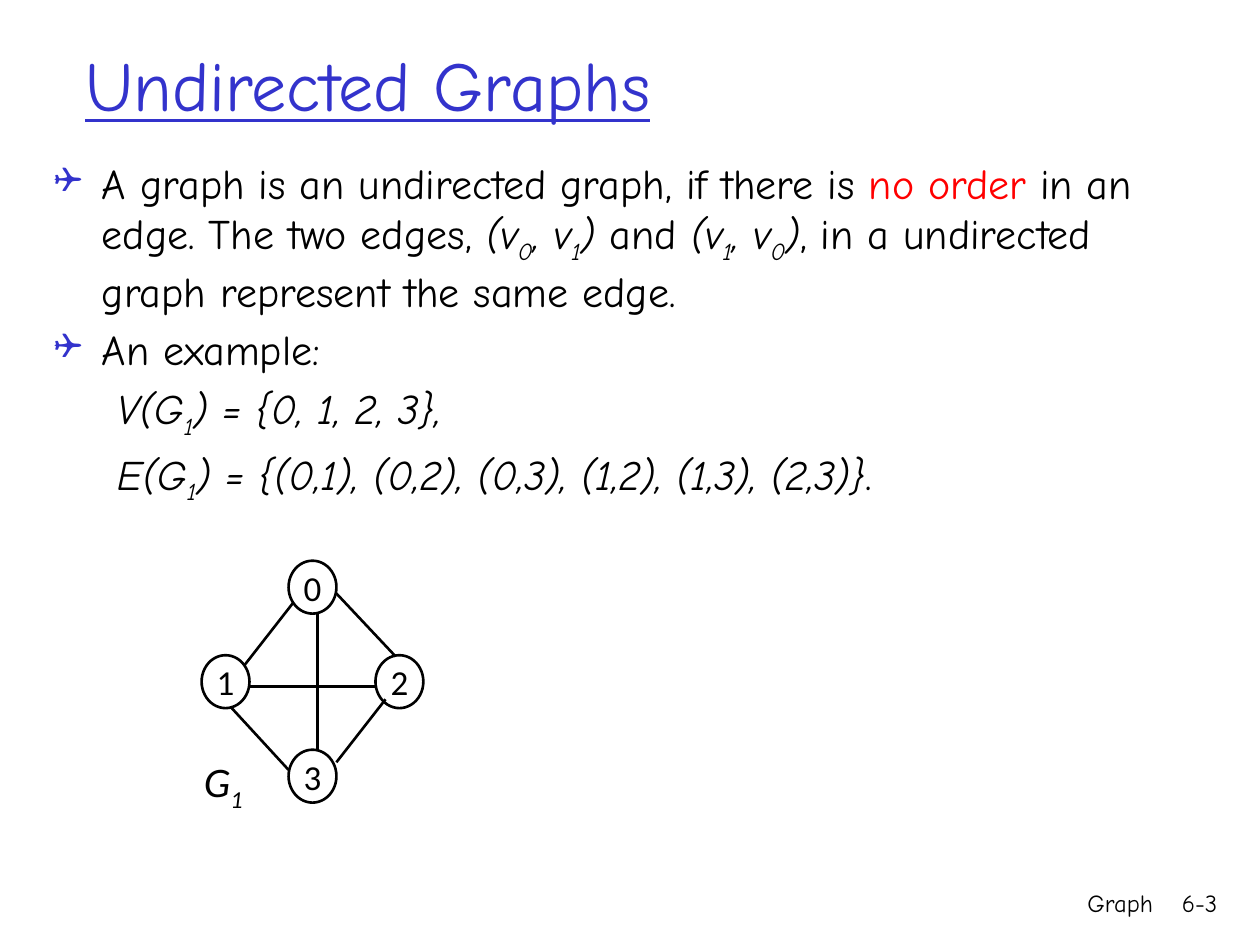
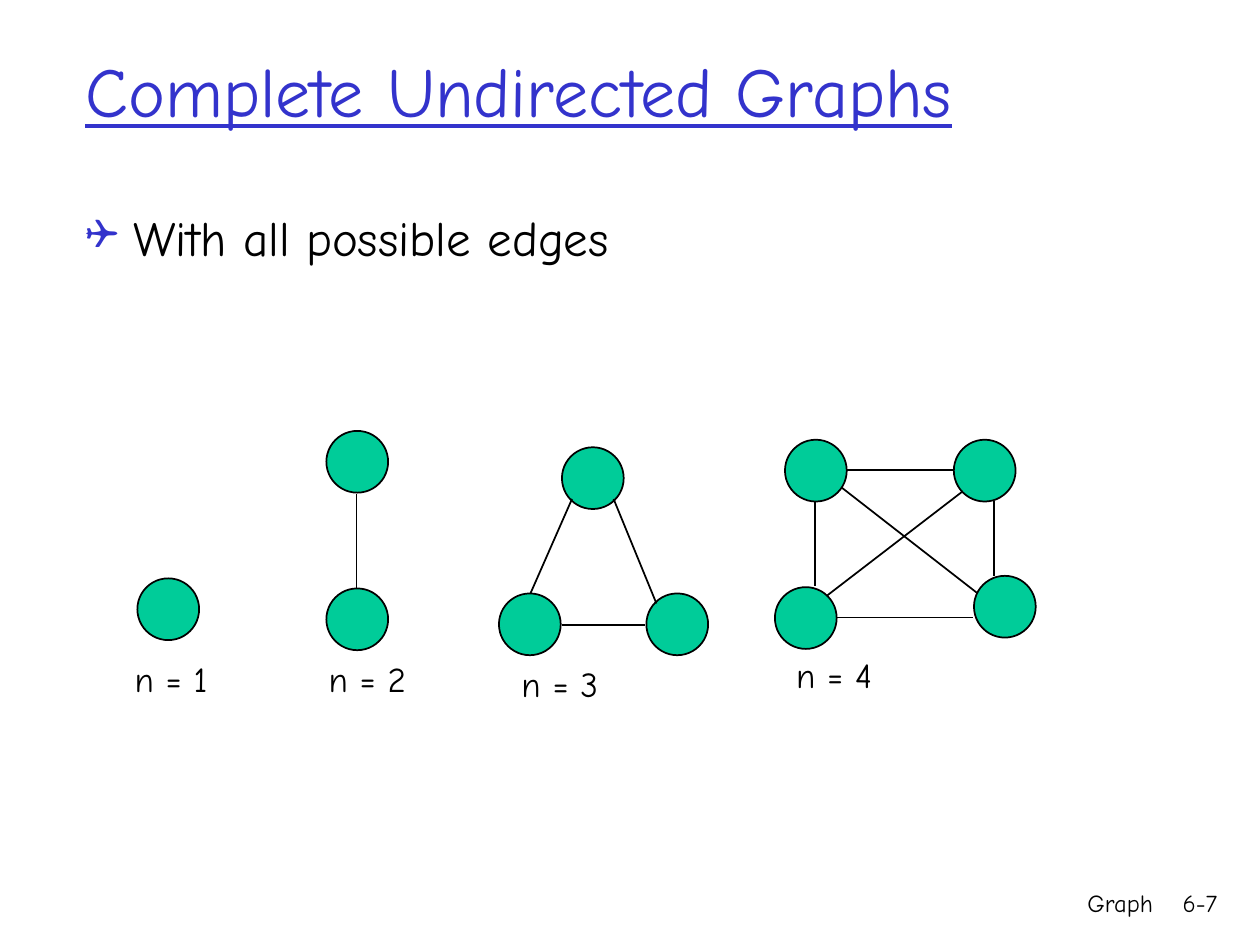
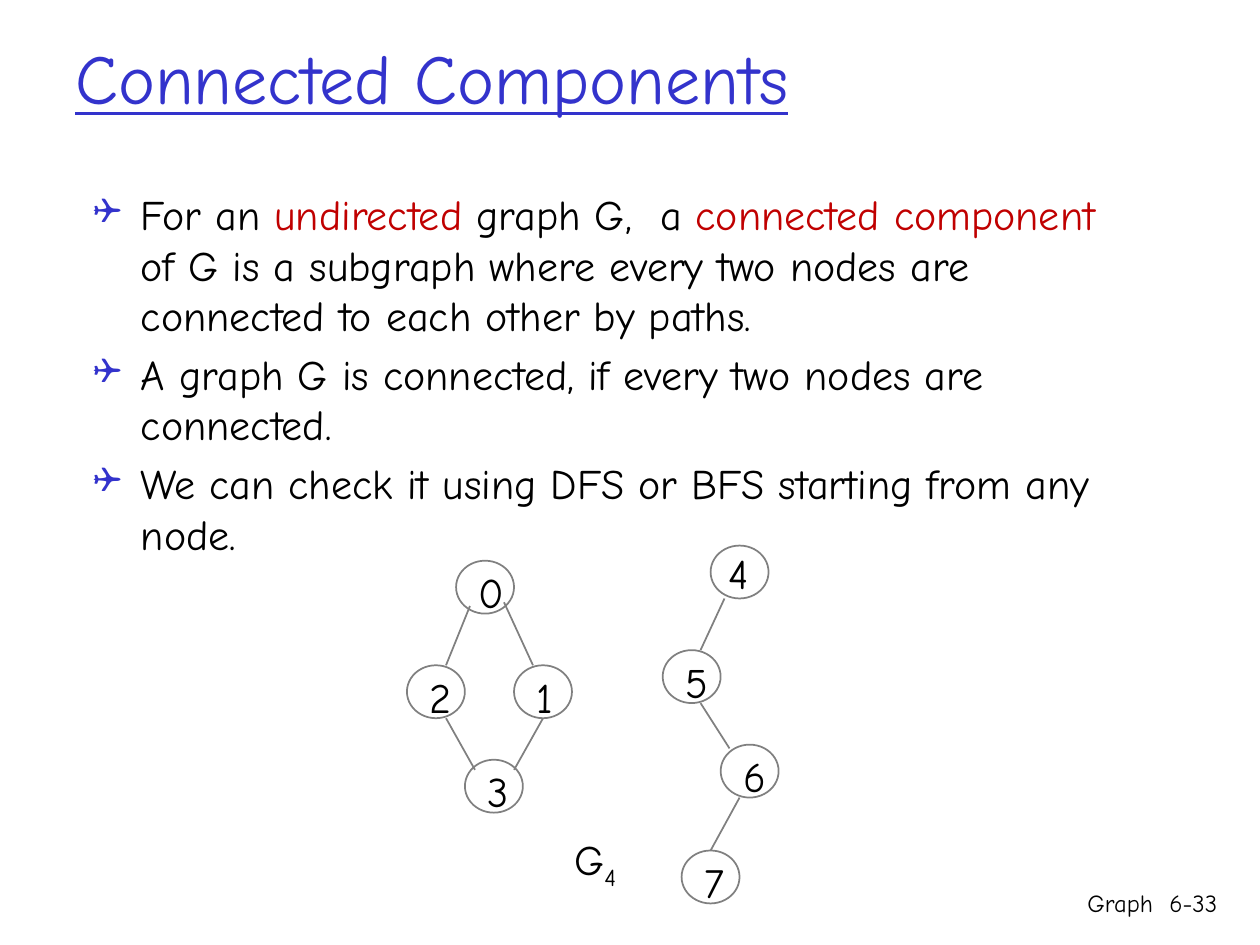
from pptx import Presentation
from pptx.dml.color import RGBColor
from pptx.enum.shapes import MSO_CONNECTOR as Connector, MSO_SHAPE as Shape
from pptx.enum.text import MSO_ANCHOR as Anchor, PP_ALIGN as Align
from pptx.oxml.ns import qn
from pptx.util import Inches, Pt
from lxml.etree import SubElement

# Shared look
COLORS = {"title": "3333CC", "text": "000000", "red": "FF0000", "dark_red": "C00000",
          "green": "00CC99", "gray": "808080"}
FONT, NODE_FONT = "Comic Neue", "Calibri"
SLIDE_W, SLIDE_H = Inches(10), Inches(7.5)
COLUMNS, ROWS = 10, 7.5


def col(n):
    return round(SLIDE_W * n / COLUMNS)


def row(n):
    return round(SLIDE_H * n / ROWS)


def area(left, top, width, height):
    return col(left), row(top), col(width), row(height)


def rgb(key):
    return RGBColor.from_string(COLORS[key])


# Text
def style(paragraph, size, color="text", font=FONT):
    paragraph.font.size = Pt(size)
    paragraph.font.name = font
    paragraph.font.color.rgb = rgb(color)


def add_runs(paragraph, runs):
    """A run is a string, or a (text, marks) pair; marks are i, sub or a colour."""
    for item in runs:
        text, marks = (item, ()) if isinstance(item, str) else (item[0], item[1].split())
        run = paragraph.add_run()
        run.text = text
        for mark in marks:
            if mark == "i":
                run.font.italic = True
            elif mark == "sub":
                run._r.get_or_add_rPr().set("baseline", "-25000")
            else:
                run.font.color.rgb = rgb(mark)


def add_text(slide, place, runs, size, color="text", font=FONT, align=Align.LEFT):
    frame = slide.shapes.add_textbox(*area(*place)).text_frame
    frame.word_wrap = True
    paragraph = frame.paragraphs[0]
    add_runs(paragraph, runs)
    style(paragraph, size, color, font)
    paragraph.alignment = align
    return frame


def add_title(slide, place, title):
    frame = add_text(slide, place, [title], 40, "title")
    frame.vertical_anchor = Anchor.MIDDLE
    frame.paragraphs[0].font.underline = True


def add_footer(slide, number):
    add_text(slide, (6.08, 7, 3.17, 0.5), ["Graph"], 14, align=Align.RIGHT)
    add_text(slide, (9.08, 7, 0.68, 0.5), [number], 14, align=Align.RIGHT)


def indent(paragraph, margin, hanging, bullet=None):
    props = paragraph._p.get_or_add_pPr()
    props.set("marL", str(Inches(margin)))
    props.set("indent", str(-Inches(hanging)))
    if bullet:
        color = SubElement(props, qn("a:buClr"))
        SubElement(color, qn("a:srgbClr"), val=COLORS["title"])
        SubElement(props, qn("a:buSzPct"), val="85000")
        SubElement(props, qn("a:buFont"), typeface="Wingdings")
        SubElement(props, qn("a:buChar"), char=bullet)


def add_body(slide, place, bullets, size=24, formulas=()):
    frame = slide.shapes.add_textbox(*area(*place)).text_frame
    frame.word_wrap = True
    lines = [(runs, 0.38, 0.38, "❑") for runs in bullets]
    lines += [(runs, 0.81, 0.31, None) for runs in formulas]
    for index, (runs, margin, hanging, bullet) in enumerate(lines):
        paragraph = frame.add_paragraph() if index else frame.paragraphs[0]
        add_runs(paragraph, runs)
        if index:
            paragraph.space_before = Pt(size * 0.2)
        indent(paragraph, margin, hanging, bullet)
        style(paragraph, size)


# Graph parts
def add_node(slide, place, line, weight, fill=None, label=""):
    node = slide.shapes.add_shape(Shape.OVAL, *area(*place))
    node.shadow.inherit = False
    node.line.color.rgb = rgb(line)
    node.line.width = Pt(weight)
    if fill:
        node.fill.solid()
        node.fill.fore_color.rgb = rgb(fill)
    else:
        node.fill.background()
    if label:
        frame = node.text_frame
        frame.word_wrap = False
        frame.vertical_anchor = Anchor.MIDDLE
        frame.text = label
        frame.paragraphs[0].alignment = Align.CENTER
        style(frame.paragraphs[0], 20, font=NODE_FONT)


def add_edges(slide, edges, color, weight):
    for x1, y1, x2, y2 in edges:
        edge = slide.shapes.add_connector(Connector.STRAIGHT, col(x1), row(y1), col(x2), row(y2))
        edge.line.color.rgb = rgb(color)
        edge.line.width = Pt(weight)
        SubElement(edge._element.spPr, qn("a:effectLst"))


# Slides
def undirected_graphs(slide):
    add_footer(slide, "6-3")
    add_title(slide, (0.58, 0.25, 8.5, 0.83), "Undirected Graphs")
    definition = [
        "A graph is an undirected graph, if there is ", ("no order", "red"),
        " in an edge. The two edges, ",
        ("(v", "i"), ("0", "i sub"), (", v", "i"), ("1", "i sub"), (")", "i"), " and ",
        ("(v", "i"), ("1", "i sub"), (", v", "i"), ("0", "i sub"), (")", "i"),
        ", in a undirected graph represent the same edge."]
    vertices = [("V(G", "i"), ("1", "i sub"), (") = {0, 1, 2, 3},", "i")]
    edge_set = [("E(G", "i"), ("1", "i sub"),
                (") = {(0,1), (0,2), (0,3), (1,2), (1,3), (2,3)}", "i"), "."]
    add_body(slide, (0.33, 1.2, 9.23, 5.67), [definition, ["An example:"]],
             formulas=[vertices, edge_set])

    add_text(slide, (1.52, 5.95, 0.59, 0.51), [("G", "i"), ("1", "i sub")], 24, font=NODE_FONT)
    for label, x, y in [("3", 2.29, 5.95), ("2", 2.98, 5.2), ("1", 1.6, 5.2), ("0", 2.29, 4.45)]:
        add_node(slide, (x, y, 0.38, 0.42), "text", 1.5, label=label)
    add_edges(slide, [(2.67, 4.71, 3.14, 5.21), (1.94, 5.28, 2.33, 4.78),
                      (2.67, 6.05, 3.06, 5.55), (1.83, 5.61, 2.29, 6.11),
                      (2.52, 4.86, 2.52, 5.95), (1.98, 5.45, 2.98, 5.45)], "text", 1.5)


def complete_graphs(slide):
    add_title(slide, (0.58, 0.25, 8.5, 0.92), "Complete Undirected Graphs")
    # Each graph: label position, node corners, edges
    graphs = [
        ((0.97, 5.17), [(1.09, 4.59)], []),
        ((2.51, 5.17), [(2.59, 4.67), (2.59, 3.42)], [(2.83, 3.92, 2.83, 4.67)]),
        ((4.04, 5.21), [(4.46, 3.55), (3.96, 4.71), (5.13, 4.71)],
         [(4.87, 3.96, 5.21, 4.79), (4.54, 3.96, 4.21, 4.71), (4.46, 4.96, 5.12, 4.96)]),
        ((6.22, 5.14), [(6.23, 3.49), (7.57, 3.49), (7.73, 4.57), (6.15, 4.66)],
         [(6.72, 3.73, 7.56, 3.73), (7.89, 3.98, 7.89, 4.57), (6.47, 3.98, 6.47, 4.65),
          (6.64, 4.9, 7.72, 4.9), (6.68, 3.87, 7.76, 4.71), (7.64, 3.9, 6.56, 4.73)]),
    ]
    for label_corner, nodes, edges in graphs:
        for corner in nodes:
            add_node(slide, (*corner, 0.49, 0.49), "text", 1, fill="green")
        add_edges(slide, edges, "text", 1)
        add_text(slide, (*label_corner, 1.33, 0.44), [f"n = {len(nodes)}"], 20)
    add_body(slide, (0.58, 1.6, 8.5, 0.64), [["With all possible edges"]], size=28)
    add_footer(slide, "6-7")


def connected_components(slide):
    add_footer(slide, "6-33")
    add_title(slide, (0.5, 0.2, 8.5, 0.82), "Connected Components")
    add_body(slide, (0.64, 1.45, 8.5, 5.08), [
        ["For an ", ("undirected", "dark_red"), " graph G,  a ",
         ("connected component", "dark_red"),
         " of G is a subgraph where every two nodes are connected to each other by paths."],
        ["A graph G is connected, if every two nodes are connected."],
        ["We can check it using DFS or BFS starting from any node."]])

    # Node corner, then the offset of its number
    inset = (0.08, 0)
    nodes = [("0", 3.62, 4.45, inset), ("2", 3.23, 5.28, inset), ("1", 4.08, 5.28, inset),
             ("3", 3.69, 6.03, inset), ("4", 5.64, 4.33, (0.04, -0.03)),
             ("5", 5.26, 5.16, inset), ("7", 5.41, 6.75, inset), ("6", 5.72, 5.91, inset)]
    for number, x, y, (dx, dy) in nodes:
        add_node(slide, (x, y, 0.46, 0.42), "gray", 1)
        add_text(slide, (x + dx, y + dy, 0.34, 0.5), [number], 24)
    add_edges(slide, [(3.54, 5.7, 3.77, 6.11), (3.73, 4.81, 3.54, 5.28),
                      (4, 4.78, 4.23, 5.28), (4.31, 5.7, 4.08, 6.11),
                      (5.56, 5.58, 5.79, 5.94), (5.75, 4.75, 5.56, 5.16),
                      (5.87, 6.33, 5.64, 6.75)], "gray", 1)
    add_text(slide, (4.46, 6.57, 0.59, 0.5), ["G", ("4", "sub")], 24)


def main():
    deck = Presentation()
    deck.slide_width, deck.slide_height = SLIDE_W, SLIDE_H
    for build in (undirected_graphs, complete_graphs, connected_components):
        build(deck.slides.add_slide(deck.slide_layouts[6]))
    deck.save("out.pptx")


if __name__ == "__main__":
    main()
